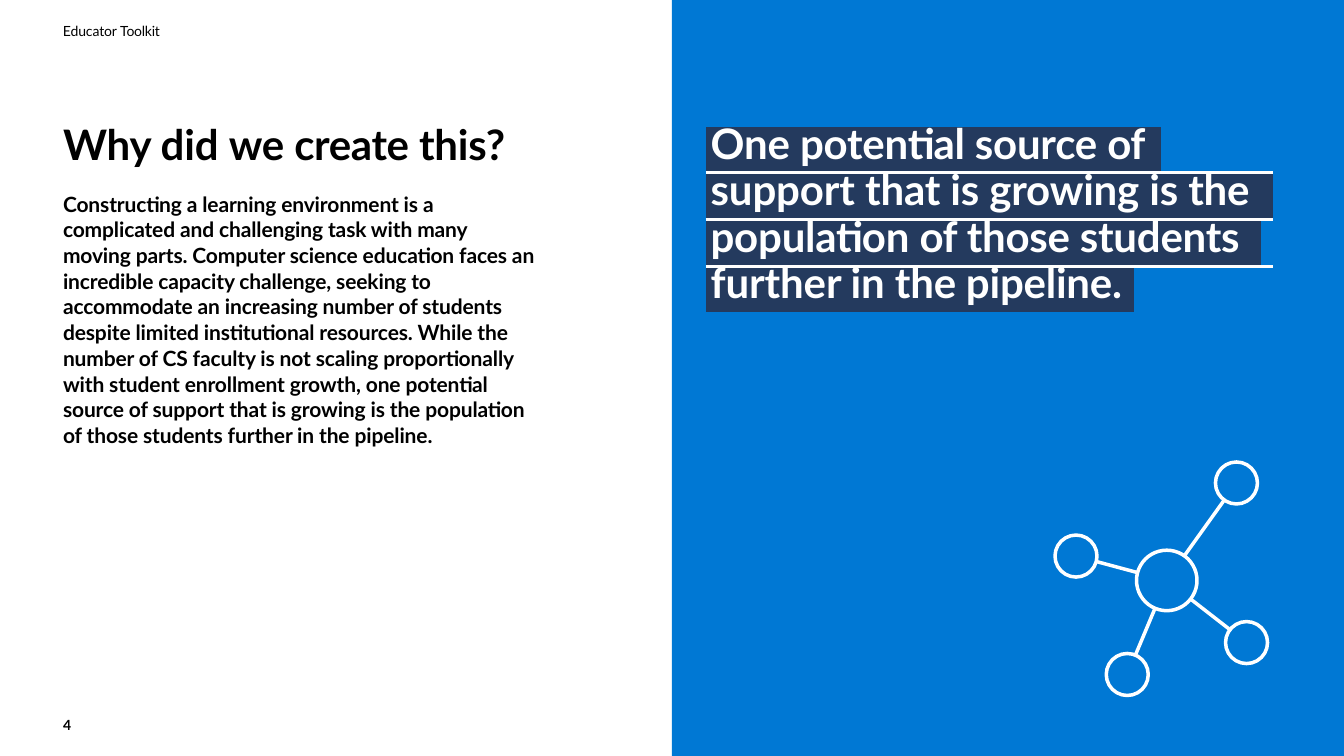
import math
from dataclasses import dataclass

import pptx
import pptx.dml.color
import pptx.enum.shapes
import pptx.enum.text
import pptx.oxml
import pptx.oxml.ns
import pptx.util

Inches = pptx.util.Inches
Pt = pptx.util.Pt
Run = tuple[str, float]

BLACK, WHITE, BLUE, NAVY = "000000", "FFFFFF", "0078D4", "243A5E"
FONT = "Lato"
NO_GRID_STYLE = "{2D5ABB26-0587-4C30-8999-92F81FD0307C}"


@dataclass
class TextBlock:
    box: tuple[float, float, float, float]
    inset: tuple[float, float]
    size: float
    bold: bool
    runs: list[Run]
    line_spacing: float = 1.0


@dataclass
class QuoteLine:
    height: float
    span: int
    spacing: float
    runs: list[Run]


@dataclass
class Node:
    x: float
    y: float
    radius: float = 0.25


TITLE = TextBlock((0.74, 1.39, 5.35, 0.63), (0.01, 0.02), 36, True, [
    ("Why did ", -0.1), ("we ", -0.2), ("create ", -0.3), ("this?", -0.2)])
BLOCKS = [
    TextBlock((0.74, 2.25, 5.71, 3.08), (0.01, 0.02), 18, True, [
        ("Constructing a learning environment is a complicated and "
         "challenging task with many", -0.1),
        ("\v", 0),
        ("moving parts. Computer science education faces an incredible "
         "capacity challenge, seeking to accommodate an increasing number of "
         "students despite limited institutional resources. While the number "
         "of CS faculty is not scaling proportionally with student enrollment "
         "growth, one potential source of support that is growing is the "
         "population of those students further in the pipeline.", -0.1)], 1.02),
    TextBlock((0.74, 0.25, 1.2, 0.23), (0.01, 0.02), 12, False, [
        ("Educator ", -0.1), ("Toolkit", -0.2)]),
    TextBlock((0.71, 8.47, 0.18, 0.25), (0.04, 0.06), 12, True, [("4", 0)]),
]
QUOTE_COLUMNS = [5.1, 0.32, 1.19, 0.15]
QUOTE = [
    QuoteLine(0.54, 2, 35.5, [
        ("One ", -0.1), ("potential source ", -0.2), ("of", -0.4)]),
    QuoteLine(0.56, 4, 36.5, [
        ("support ", -0.1), ("that ", -0.2), ("is ", -0.1),
        ("growing ", -0.2), ("is ", -0.1), ("the", -0.2)]),
    QuoteLine(0.56, 3, 36.1, [
        ("population ", -0.2), ("of ", -0.4), ("those students", -0.2)]),
    QuoteLine(0.54, 1, 35.7, [("further in ", -0.1), ("the pipeline.", -0.2)]),
]
HUB = Node(13.89, 6.91, 0.36)
NODES = [Node(14.72, 5.75), Node(12.81, 6.62), Node(13.42, 8.03),
         Node(14.84, 7.65)]


def rgb(color: str) -> pptx.dml.color.RGBColor:
    return pptx.dml.color.RGBColor.from_string(color)


def add_runs(p, runs: list[Run], size: float, bold: bool, color: str) -> None:
    p.alignment = pptx.enum.text.PP_ALIGN.LEFT
    for text, tracking in runs:
        if text == "\v":
            p.add_line_break()
            continue
        r = p.add_run()
        r.text = text
        r.font.name = FONT
        r.font.size = Pt(size)
        r.font.bold = bold
        r.font.color.rgb = rgb(color)
        r._r.get_or_add_rPr().set("spc", str(round(tracking * 100)))


def fill_text(sp, block: TextBlock) -> None:
    sp.left, sp.top, sp.width, sp.height = map(Inches, block.box)
    tf = sp.text_frame
    tf.word_wrap = True
    tf.auto_size = pptx.enum.text.MSO_AUTO_SIZE.NONE
    tf.vertical_anchor = pptx.enum.text.MSO_ANCHOR.TOP
    tf.margin_left, tf.margin_top = map(Inches, block.inset)
    tf.margin_right = tf.margin_bottom = 0
    p = tf.paragraphs[0]
    p.line_spacing = block.line_spacing
    add_runs(p, block.runs, block.size, block.bold, BLACK)


def add_panel(s) -> None:
    sp = s.shapes.add_shape(pptx.enum.shapes.MSO_SHAPE.RECTANGLE,
                            Inches(8), 0, Inches(8), Inches(9))
    sp.shadow.inherit = False
    sp.fill.solid()
    sp.fill.fore_color.rgb = rgb(BLUE)
    sp.line.fill.background()


def add_border(cell, tag: str, position: int) -> None:
    ln = pptx.oxml.parse_xml(
        f'<a:{tag} {pptx.oxml.ns.nsdecls("a")} w="{Pt(3)}"><a:solidFill>'
        f'<a:srgbClr val="{WHITE}"/></a:solidFill></a:{tag}>')
    cell._tc.get_or_add_tcPr().insert(position, ln)


def add_quote(s) -> None:
    last = len(QUOTE) - 1
    end = len(QUOTE_COLUMNS) - 1
    frame = s.shapes.add_table(
        len(QUOTE), len(QUOTE_COLUMNS), Inches(8.4), Inches(1.51),
        Inches(sum(QUOTE_COLUMNS)), Inches(sum(q.height for q in QUOTE)))
    table = frame.table
    table.first_row = table.horz_banding = False
    table._tbl.tblPr.find(pptx.oxml.ns.qn("a:tableStyleId")).text = NO_GRID_STYLE
    for column, width in zip(table.columns, QUOTE_COLUMNS):
        column.width = Inches(width)
    for i, line in enumerate(QUOTE):
        table.rows[i].height = Inches(line.height)
        for j in range(end + 1):
            cell = table.cell(i, j)
            cell.margin_left = Inches(0.06)
            cell.margin_right = cell.margin_top = cell.margin_bottom = 0
            cell.fill.solid()
            cell.fill.fore_color.rgb = rgb(NAVY if j < line.span else BLUE)
            if i < last:
                add_border(cell, "lnB", 0)
            if i > 0:
                add_border(cell, "lnT", 0)
        for first, final in ((0, line.span - 1), (line.span, end)):
            if first < final:
                table.cell(i, first).merge(table.cell(i, final))
        p = table.cell(i, 0).text_frame.paragraphs[0]
        p.line_spacing = Pt(line.spacing)
        add_runs(p, line.runs, 36, True, WHITE)


def style_line(line) -> None:
    line.color.rgb = rgb(WHITE)
    line.width = Pt(3)


def add_node(s, node: Node) -> None:
    sp = s.shapes.add_shape(
        pptx.enum.shapes.MSO_SHAPE.OVAL,
        Inches(node.x - node.radius), Inches(node.y - node.radius),
        Inches(2 * node.radius), Inches(2 * node.radius))
    sp.shadow.inherit = False
    sp.fill.background()
    style_line(sp.line)


def rim(a: Node, b: Node) -> tuple[float, float]:
    share = a.radius / math.dist((a.x, a.y), (b.x, b.y))
    return a.x + (b.x - a.x) * share, a.y + (b.y - a.y) * share


def add_link(s, a: Node, b: Node) -> None:
    cxn = s.shapes.add_connector(
        pptx.enum.shapes.MSO_CONNECTOR.STRAIGHT,
        *map(Inches, rim(a, b) + rim(b, a)))
    style_line(cxn.line)
    cxn._element.spPr.append(pptx.oxml.parse_xml(
        f'<a:effectLst {pptx.oxml.ns.nsdecls("a")}/>'))


def main() -> None:
    prs = pptx.Presentation()
    prs.slide_width, prs.slide_height = Inches(16), Inches(9)
    s = prs.slides.add_slide(prs.slide_layouts[5])
    fill_text(s.shapes.title, TITLE)
    add_panel(s)
    for block in BLOCKS:
        fill_text(s.shapes.add_textbox(*map(Inches, block.box)), block)
    add_quote(s)
    add_node(s, HUB)
    for node in NODES:
        add_node(s, node)
        add_link(s, HUB, node)
    prs.save("out.pptx")


if __name__ == "__main__":
    main()
